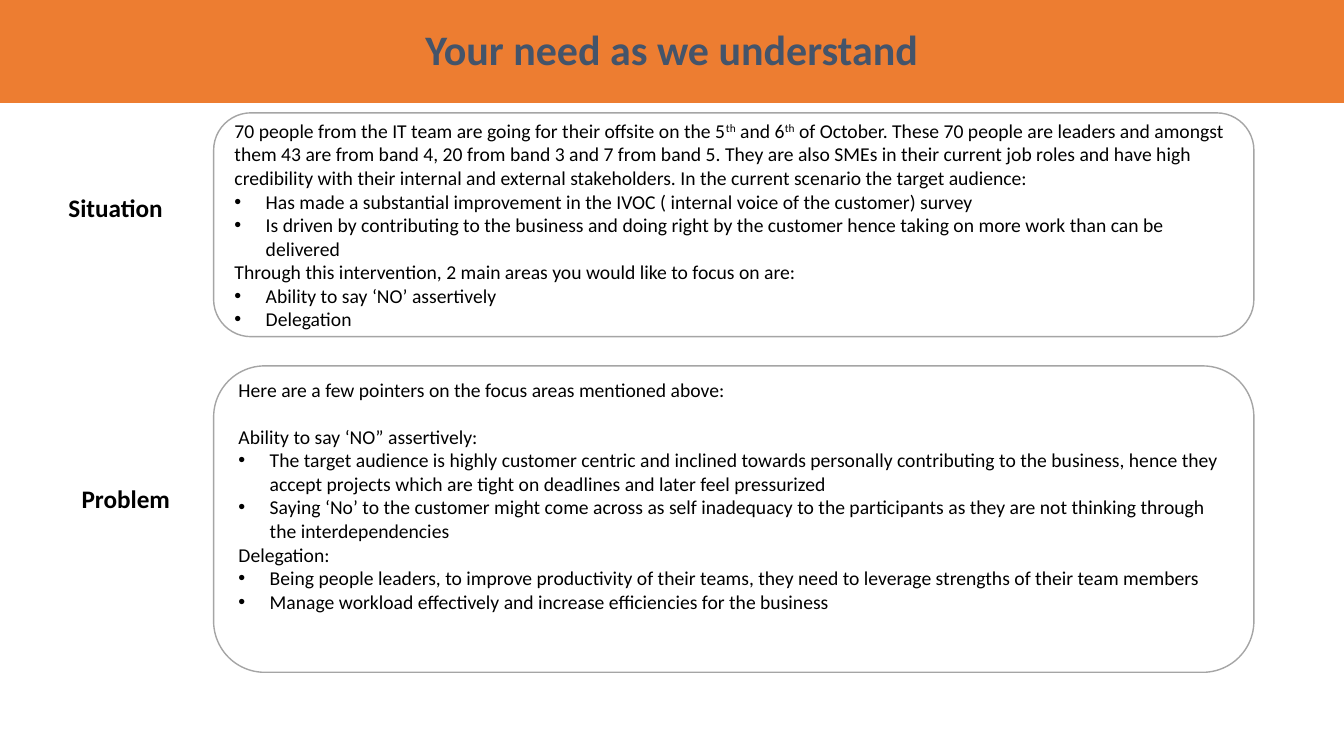
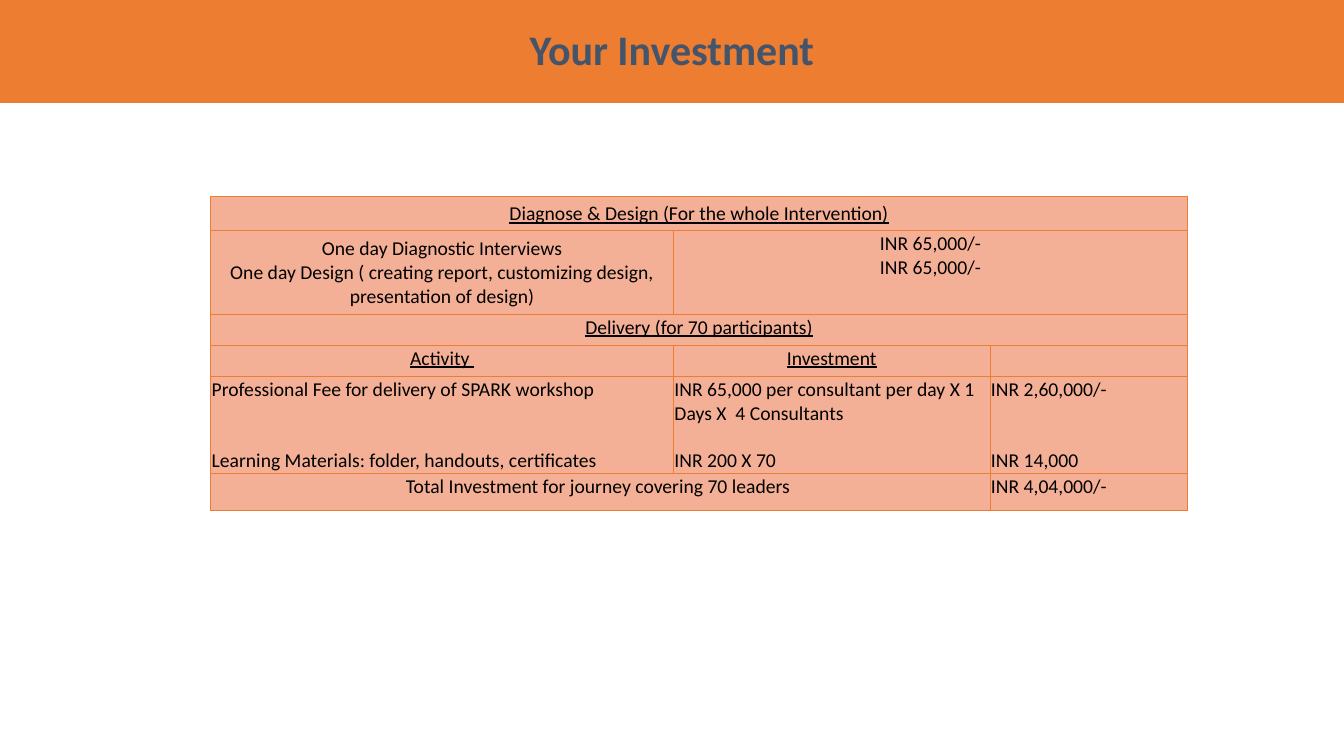
from dataclasses import dataclass

from lxml import etree
from pptx import Presentation
from pptx import util as u
from pptx.dml.color import RGBColor
from pptx.enum import shapes, text
from pptx.oxml.ns import qn

LEFT, MID, JUST = text.PP_ALIGN.LEFT, text.PP_ALIGN.CENTER, text.PP_ALIGN.JUSTIFY
TOP, CORE = text.MSO_ANCHOR.TOP, text.MSO_ANCHOR.MIDDLE


@dataclass(frozen=True)
class Theme:
    font: str = "Calibri"
    band: str = "ED7D31"
    title: str = "44546A"
    ink: str = "000000"
    paper: str = "FFFFFF"
    edge: str = "A5A5A5"
    cell: str = "F4B096"
    big: int = 30
    label: int = 18
    body: int = 14
    line: int = 17  # height of one body line, in points


def rgb(code):
    return RGBColor.from_string(code)


class Deck:
    """Holds the theme and the current slide; lengths are percent of the slide."""

    def __init__(self, theme):
        self.theme = theme
        self.file = Presentation()
        self.file.slide_width = u.Inches(13.33)
        self.file.slide_height = u.Inches(7.5)

    def wide(self, share):
        return int(self.file.slide_width * share / 100)

    def high(self, share):
        return int(self.file.slide_height * share / 100)

    def area(self, x, y, w, h):
        return self.wide(x), self.high(y), self.wide(w), self.high(h)

    def slide(self, title):
        """Start a slide with its title band."""
        t = self.theme
        page = self.file.slides.add_slide(self.file.slide_layouts[6])
        self.items = page.shapes
        band = self.shape(shapes.MSO_SHAPE.RECTANGLE, (0, 0, 100, 13.6), t.band)
        self.prose(band.text_frame, [title], MID, t.big, t.title, bold=True)
        band.text_frame.paragraphs[0].line_spacing = 0.9

    def shape(self, kind, area, fill, edge=None):
        item = self.items.add_shape(kind, *self.area(*area))
        item.shadow.inherit = False
        item.fill.solid()
        item.fill.fore_color.rgb = rgb(fill)
        if edge:
            item.line.color.rgb = rgb(edge)
            item.line.width = u.Pt(1)
        else:
            item.line.fill.background()
        item.text_frame.word_wrap = True
        item.text_frame.vertical_anchor = CORE
        return item

    def prose(self, frame, lines, align=LEFT, size=None, ink=None,
              bold=False, under=False):
        """Fill a frame. A line is a text or (text, blank lines above);
        "• " opens a bullet and ^...^ is superscript."""
        t = self.theme
        for i, line in enumerate(lines):
            words, gap = (line, 0) if isinstance(line, str) else line
            para = frame.add_paragraph() if i else frame.paragraphs[0]
            para.alignment = align
            if gap:
                para.space_before = u.Pt(gap * t.line)
            if words.startswith("• "):
                words = words[2:]
                self.bullet(para)
            for j, part in enumerate(words.split("^")):
                run = para.add_run()
                run.text = part
                run.font.name = t.font
                run.font.size = u.Pt(size or t.body)
                run.font.color.rgb = rgb(ink or t.ink)
                run.font.bold = bold
                run.font.underline = under
                if j % 2:
                    run._r.get_or_add_rPr().set("baseline", "30000")

    def bullet(self, para):
        props = para._p.get_or_add_pPr()
        props.set("marL", str(u.Inches(0.31)))
        props.set("indent", str(-u.Inches(0.31)))
        etree.SubElement(props, qn("a:buFont")).set("typeface", "Arial")
        etree.SubElement(props, qn("a:buChar")).set("char", "•")

    def label(self, words, x, y):
        box = self.items.add_textbox(*self.area(x, y, 10.65, 5.33))
        box.text_frame.word_wrap = True
        self.prose(box.text_frame, [words], size=self.theme.label, bold=True)

    def panel(self, y, h, lines, spare=0):
        """Rounded text panel, with spare blank lines kept at its foot."""
        t = self.theme
        box = self.shape(shapes.MSO_SHAPE.ROUNDED_RECTANGLE,
                         (15.9, y, 77.4, h), t.paper, t.edge)
        box.text_frame.margin_bottom = u.Inches(0.05) + u.Pt(spare * t.line)
        self.prose(box.text_frame, lines)

    def table(self, x, y, cols, rows, cells):
        """Cells are (row, column, span, lines, align, anchor, underline)."""
        area = self.area(x, y, sum(cols), sum(rows))
        grid = self.items.add_table(len(rows), len(cols), *area).table
        grid.first_row = grid.horz_banding = False
        for col, share in zip(grid.columns, cols):
            col.width = self.wide(share)
        for row, share in zip(grid.rows, rows):
            row.height = self.high(share)
        for cell in grid.iter_cells():
            self.dress(cell)
        for r, c, span, lines, align, anchor, under in cells:
            cell = grid.cell(r, c)
            if span > 1:
                cell.merge(grid.cell(r, c + span - 1))
            cell.vertical_anchor = anchor
            self.prose(cell.text_frame, lines, align, under=under)

    def dress(self, cell):
        """Give a cell its margins, borders, fill and empty-line size."""
        t = self.theme
        cell.margin_left = cell.margin_right = cell.margin_top = u.Inches(0.01)
        cell.margin_bottom = 0
        props = cell._tc.get_or_add_tcPr()
        for side in ("lnL", "lnR", "lnT", "lnB"):
            line = etree.SubElement(props, qn("a:" + side), w=str(u.Pt(0.5)))
            fill = etree.SubElement(line, qn("a:solidFill"))
            etree.SubElement(fill, qn("a:srgbClr"), val=t.band)
        cell.fill.solid()
        cell.fill.fore_color.rgb = rgb(t.cell)
        para = cell.text_frame.paragraphs[0]._p
        etree.SubElement(para, qn("a:endParaRPr"), sz=str(t.body * 100))


def need(deck):
    deck.slide("Your need as we understand")
    deck.label("Situation", 4.35, 24.8)
    deck.panel(14.93, 29.6, [
        "70 people from the IT team are going for their offsite on the 5^th^ and 6^th^ of "
        "October. These 70 people are leaders and amongst them 43 are from band 4, 20 from "
        "band 3 and 7 from band 5. They are also SMEs in their current job roles and have "
        "high credibility with their internal and external stakeholders. In the current "
        "scenario the target audience:",
        "• Has made a substantial improvement in the IVOC ( internal voice of the customer) "
        "survey",
        "• Is driven by contributing to the business and doing right by the customer hence "
        "taking on more work than can be delivered",
        "Through this intervention, 2 main areas you would like to focus on are:",
        "• Ability to say ‘NO’ assertively",
        "• Delegation",
    ])
    deck.panel(48.4, 40.53, [
        "Here are a few pointers on the focus areas mentioned above:",
        ("Ability to say ‘NO” assertively:", 1),
        "• The target audience is highly customer centric and inclined towards personally "
        "contributing to the business, hence they accept projects which are tight on "
        "deadlines and later feel pressurized",
        "• Saying ‘No’ to the customer might come across as self inadequacy to the "
        "participants as they are not thinking through the interdependencies",
        "Delegation:",
        "• Being people leaders, to improve productivity of their teams, they need to "
        "leverage strengths of their team members",
        "• Manage workload effectively and increase efficiencies for the business",
    ], spare=2)
    deck.label("Problem", 5.33, 63.33)


def cost(deck):
    deck.slide("Your Investment")
    deck.table(15.68, 26, (34.43, 23.55, 14.7), (4.53, 11.07, 4.13, 4.13, 12.8, 4.8), [
        (0, 0, 3, ["Diagnose & Design (For the whole Intervention)"], MID, CORE, True),
        (1, 0, 1, ["One day Diagnostic Interviews",
                   "One day Design ( creating report, customizing design, "
                   "presentation of design)"], MID, CORE, False),
        (1, 1, 2, ["INR 65,000/-"] * 2, MID, TOP, False),
        (2, 0, 3, ["Delivery (for 70 participants)"], MID, TOP, True),
        (3, 0, 1, ["Activity "], MID, TOP, True),
        (3, 1, 1, ["Investment"], MID, TOP, True),
        (4, 0, 1, ["Professional Fee for delivery of SPARK workshop",
                   ("Learning Materials: folder, handouts, certificates", 2)],
         LEFT, TOP, False),
        (4, 1, 1, ["INR 65,000 per consultant per day X 1 Days X  4 Consultants",
                   ("INR 200 X 70", 1)], LEFT, TOP, False),
        (4, 2, 1, ["INR 2,60,000/-", ("INR 14,000", 2)], LEFT, TOP, False),
        (5, 0, 2, ["Total Investment for journey covering 70 leaders "], MID, TOP, False),
        (5, 2, 1, ["INR 4,04,000/-"], JUST, TOP, False),
    ])


def main():
    deck = Deck(Theme())
    need(deck)
    cost(deck)
    deck.file.save("out.pptx")


if __name__ == "__main__":
    main()
